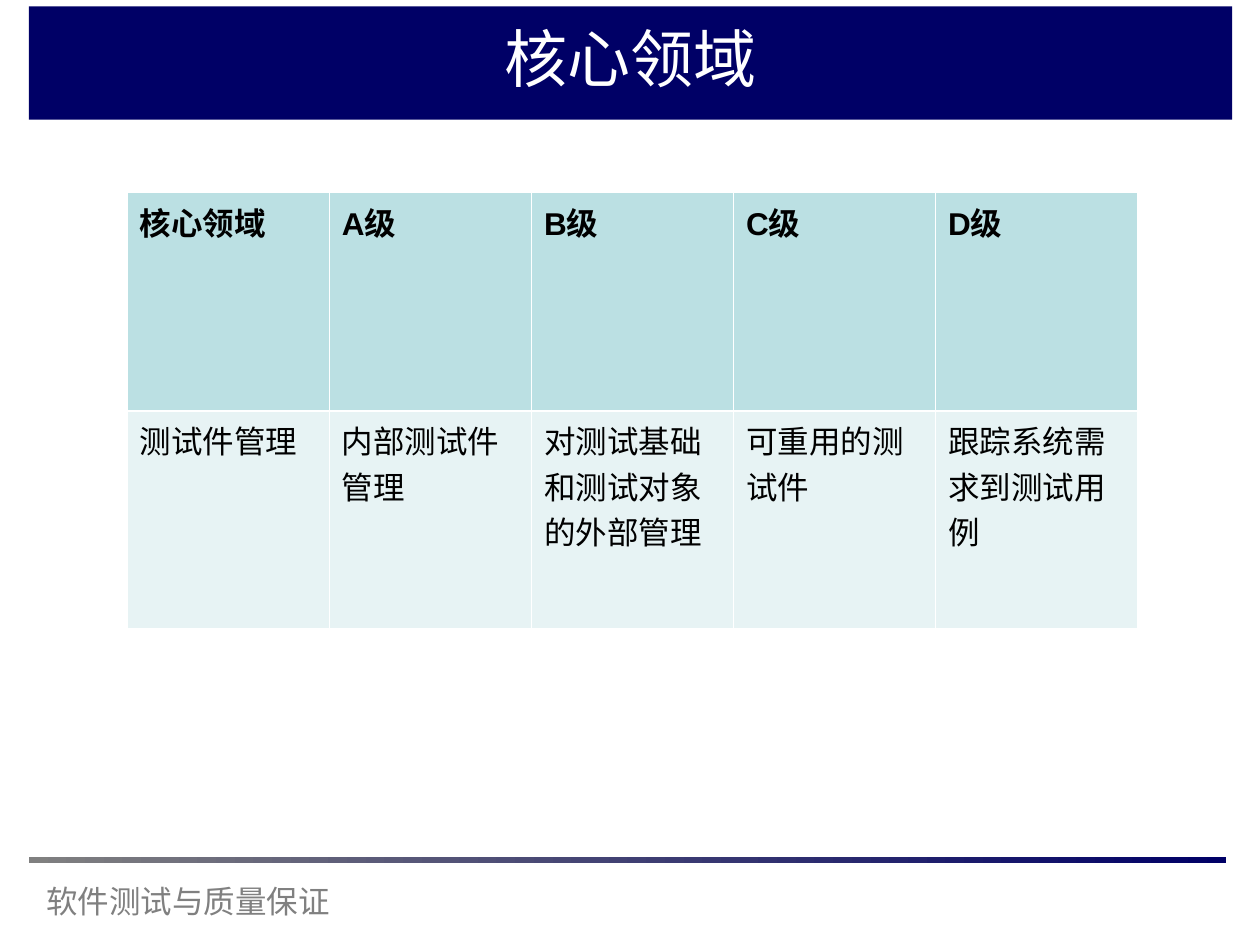
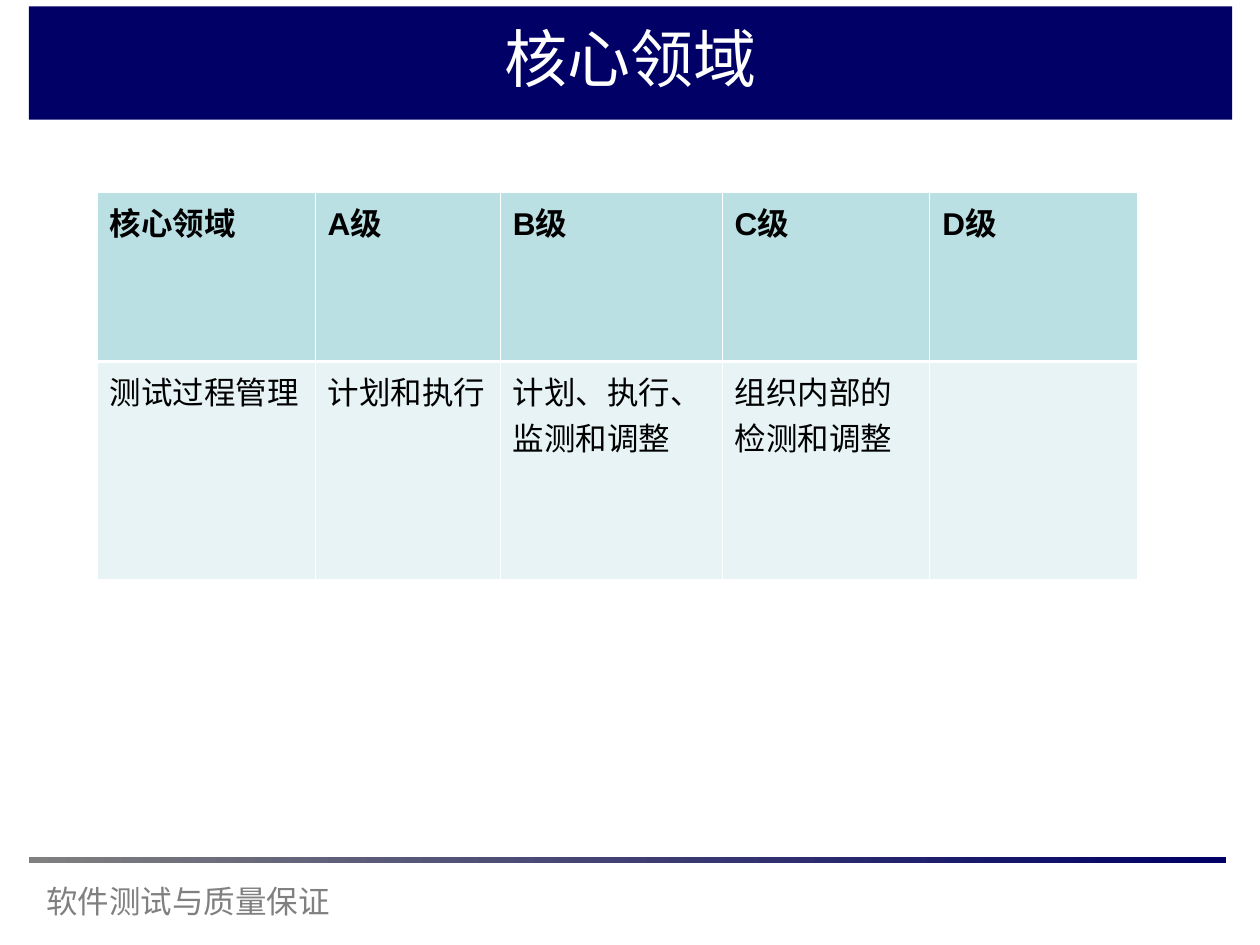
from lxml import etree
from pptx import Presentation
from pptx.dml.color import RGBColor
from pptx.enum.shapes import MSO_SHAPE
from pptx.enum.text import PP_ALIGN
from pptx.oxml.ns import qn
from pptx.util import Inches, Pt

RECTANGLE = MSO_SHAPE.RECTANGLE
LEFT, CENTER = PP_ALIGN.LEFT, PP_ALIGN.CENTER

NAVY = RGBColor(0x00, 0x00, 0x66)
GRAY = RGBColor(0x80, 0x80, 0x80)
WHITE = RGBColor(0xFF, 0xFF, 0xFF)
BLACK = RGBColor(0x00, 0x00, 0x00)
HEADER_TEAL = RGBColor(0xBB, 0xE0, 0xE3)
BODY_TEAL = RGBColor(0xE7, 0xF3, 0xF4)

FONT = "Arial"
TITLE_STYLE = {"size": Pt(36), "color": WHITE}
FOOTER_STYLE = {"size": Pt(18), "color": GRAY}
HEADER_STYLE = {"size": Pt(18), "color": BLACK, "bold": True}
BODY_STYLE = {"size": Pt(18), "color": BLACK, "bold": False}

TITLE_BAND = (0.23, 0.05, 9.55, 0.9)
TITLE_BOX = (2.96, 0.11, 4.09, 0.7)
FOOTER_RULE = (0.23, 6.8, 9.5, 0.05)
FOOTER_BOX = (0.27, 6.95, 5.17, 0.4)

TITLE = "核心领域"
FOOTER = "软件测试与质量保证"
HEADERS = ["核心领域", "A级", "B级", "C级", "D级"]
THIN, THICK = Pt(0.45), Pt(1.47)

TABLES = [
    {
        "origin": (1.01, 1.53),
        "widths": [1.604] * 5,
        "heights": [1.73, 1.73],
        "body": ["测试件管理", "内部测试件管理", "对测试基础和测试对象的外部管理",
                 "可重用的测试件", "跟踪系统需求到测试用例"],
    },
    {
        "origin": (0.77, 1.53),
        "widths": [1.73, 1.47, 1.76, 1.65, 1.65],
        "heights": [1.34, 1.73],
        "body": ["测试过程管理", "计划和执行", "计划、执行、监测和调整",
                 "组织内部的检测和调整", ""],
    },
]


def inches(values):
    return [Inches(value) for value in values]


def write(frame, text, style, align=LEFT, space_before=0):
    para = frame.paragraphs[0]
    para.alignment = align
    para.space_before = Pt(space_before)
    if not text:
        return
    span = para.add_run()
    span.text = text
    span.font.name = FONT
    for name, value in style.items():
        if name == "color":
            span.font.color.rgb = value
        else:
            setattr(span.font, name, value)


def add_bar(page, box):
    bar = page.shapes.add_shape(RECTANGLE, *inches(box))
    bar.shadow.inherit = False
    bar.line.fill.background()
    return bar


def add_label(page, box, text, style, **layout):
    label = page.shapes.add_textbox(*inches(box))
    label.text_frame.word_wrap = True
    write(label.text_frame, text, style, **layout)


def add_title(page):
    band = add_bar(page, TITLE_BAND)
    band.fill.solid()
    band.fill.fore_color.rgb = NAVY
    add_label(page, TITLE_BOX, TITLE, TITLE_STYLE, align=CENTER)


def add_footer(page):
    rule = add_bar(page, FOOTER_RULE)
    rule.fill.gradient()
    rule.fill.gradient_angle = 0
    for stop, position, color in zip(rule.fill.gradient_stops, (0, 1), (GRAY, NAVY)):
        stop.position = position
        stop.color.rgb = color
    add_label(page, FOOTER_BOX, FOOTER, FOOTER_STYLE, space_before=11.2)


def set_borders(cell, widths):
    """Draw white borders; must run before the cell is filled."""
    properties = cell._tc.get_or_add_tcPr()
    for side, width in widths.items():
        line = etree.SubElement(properties, qn(f"a:ln{side}"), w=str(width))
        fill = etree.SubElement(line, qn("a:solidFill"))
        etree.SubElement(fill, qn("a:srgbClr"), val=str(WHITE))


def add_level_table(page, origin, widths, heights, body):
    size = (sum(widths), sum(heights))
    frame = page.shapes.add_table(len(heights), len(widths), *inches(origin + size))
    table = frame.table
    for column, width in zip(table.columns, widths):
        column.width = Inches(width)
    for row, height in zip(table.rows, heights):
        row.height = Inches(height)

    rows = [
        (HEADERS, HEADER_STYLE, HEADER_TEAL, THIN, THICK),
        (body, BODY_STYLE, BODY_TEAL, THICK, THIN),
    ]
    for row, (texts, style, color, top, bottom) in zip(table.rows, rows):
        for cell, text in zip(row.cells, texts):
            set_borders(cell, {"L": THIN, "R": THIN, "T": top, "B": bottom})
            cell.fill.solid()
            cell.fill.fore_color.rgb = color
            write(cell.text_frame, text, style)


def main():
    deck = Presentation()
    deck.slide_width, deck.slide_height = Inches(10), Inches(7.5)
    blank = deck.slide_layouts[6]
    for content in TABLES:
        page = deck.slides.add_slide(blank)
        add_title(page)
        add_footer(page)
        add_level_table(page, **content)
    deck.save("out.pptx")


if __name__ == "__main__":
    main()
